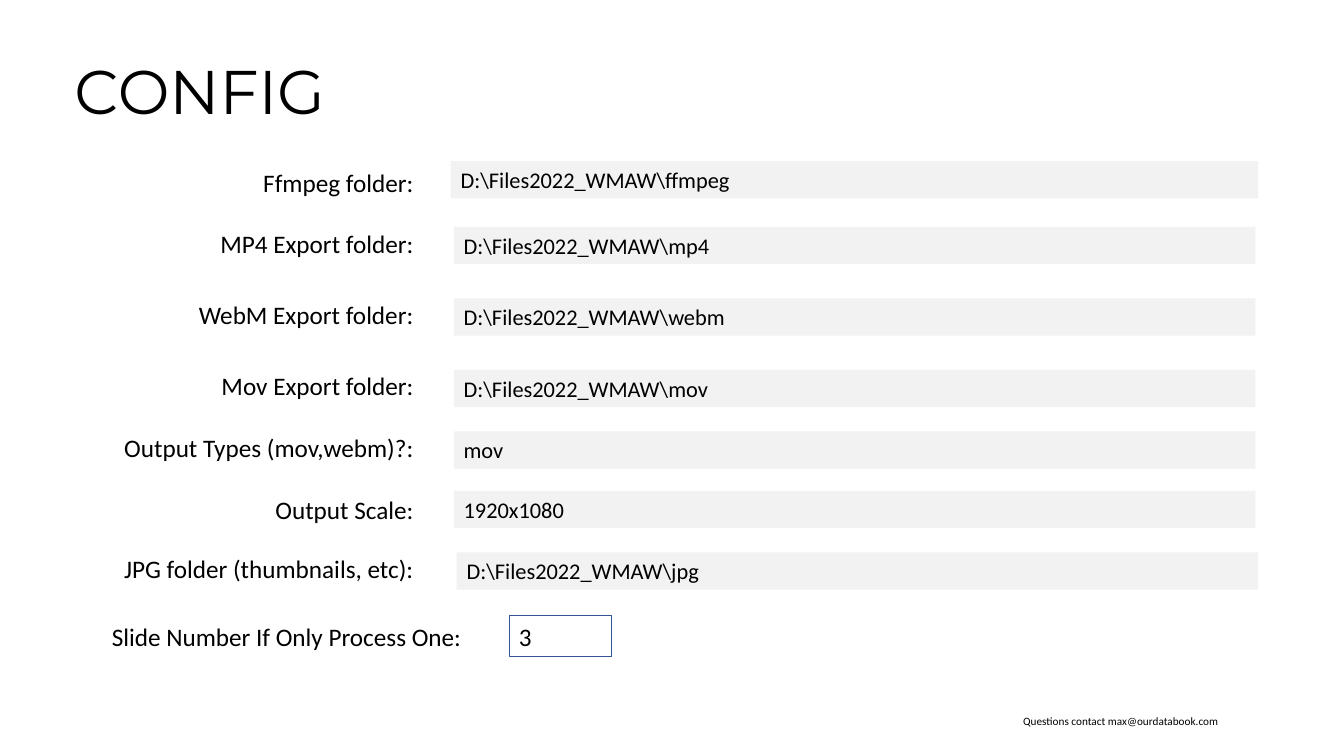
import pptx
import pptx.util
import pptx.dml.color
import pptx.enum.shapes
import pptx.enum.text

COLORS = {"text": "000000", "field": "F2F2F2", "outline": "325491"}
WIDTH, HEIGHT = pptx.util.Inches(13.33), pptx.util.Inches(7.5)
ALIGN = pptx.enum.text.PP_ALIGN
ANCHOR = pptx.enum.text.MSO_ANCHOR

LABEL_LEFT, LABEL_WIDTH, LABEL_HEIGHT = 7.58, 23.93, 5.33
FIELD_LEFT, FIELD_WIDTH, FIELD_HEIGHT = 33.76, 59.64, 4.93
SHIFT = 0.22
LAST_ROW = 81.47

SETTINGS = [
    ("Ffmpeg folder:", 21.47, "D:\\Files2022_WMAW\\ffmpeg", 21.33, -SHIFT, 2 * SHIFT),
    ("MP4 Export folder:", 29.6, "D:\\Files2022_WMAW\\mp4", 30, 0, 0),
    ("WebM Export folder:", 38.93, "D:\\Files2022_WMAW\\webm", 39.47, 0, 0),
    ("Mov Export folder:", 48.27, "D:\\Files2022_WMAW\\mov", 48.93, 0, 0),
    ("Output Types (mov,webm)?:", 56.53, "mov", 57.07, 0, 0),
    ("Output Scale:", 64.67, "1920x1080", 64.93, 0, 0),
    ("JPG folder (thumbnails, etc):", 72.53, "D:\\Files2022_WMAW\\jpg", 73.07, SHIFT, 0),
]


def rgb(name):
    return pptx.dml.color.RGBColor.from_string(COLORS[name])


def place(left, top, width, height):
    return (round(WIDTH * left / 100), round(HEIGHT * top / 100),
            round(WIDTH * width / 100), round(HEIGHT * height / 100))


def write(sp, text, size, font="Calibri", align=ALIGN.LEFT, anchor=ANCHOR.TOP):
    tf = sp.text_frame
    tf.word_wrap = True
    tf.vertical_anchor = anchor
    p = tf.paragraphs[0]
    p.text = text
    p.alignment = align
    p.font.name = font
    p.font.size = pptx.util.Pt(size)
    p.font.color.rgb = rgb("text")
    return p


def add_text(s, box, text, size, **style):
    return write(s.shapes.add_textbox(*place(*box)), text, size, **style)


def add_field(s, box, text, size, fill=None, line=None):
    sp = s.shapes.add_shape(pptx.enum.shapes.MSO_SHAPE.RECTANGLE, *place(*box))
    sp.shadow.inherit = False
    if fill:
        sp.fill.solid()
        sp.fill.fore_color.rgb = rgb(fill)
    else:
        sp.fill.background()
    if line:
        sp.line.color.rgb = rgb(line)
        sp.line.width = pptx.util.Pt(0.75)
    else:
        sp.line.fill.background()
    write(sp, text, size)


def main():
    prs = pptx.Presentation()
    prs.slide_width, prs.slide_height = WIDTH, HEIGHT
    s = prs.slides.add_slide(prs.slide_layouts[6])

    title = add_text(s, (4.8, 2.8, 22.2, 19.33), "CONFIG", 44,
                     font="Montserrat", anchor=ANCHOR.MIDDLE)
    title.line_spacing = 0.9

    for label, label_top, value, field_top, shift, extra in SETTINGS:
        add_text(s, (LABEL_LEFT, label_top, LABEL_WIDTH, LABEL_HEIGHT),
                 label, 18, align=ALIGN.RIGHT)
        add_field(s, (FIELD_LEFT + shift, field_top, FIELD_WIDTH + extra, FIELD_HEIGHT),
                  value, 16, fill="field")

    add_text(s, (LABEL_LEFT, LAST_ROW, 28.58, LABEL_HEIGHT),
             "Slide Number If Only Process One:", 18)
    add_field(s, (37.88, LAST_ROW, 7.65, LABEL_HEIGHT), "3", 18, line="outline")
    add_text(s, (75.39, 93.87, 21.46, 3.2), "Questions contact max@ourdatabook.com", 8)

    prs.save("out.pptx")


if __name__ == "__main__":
    main()
